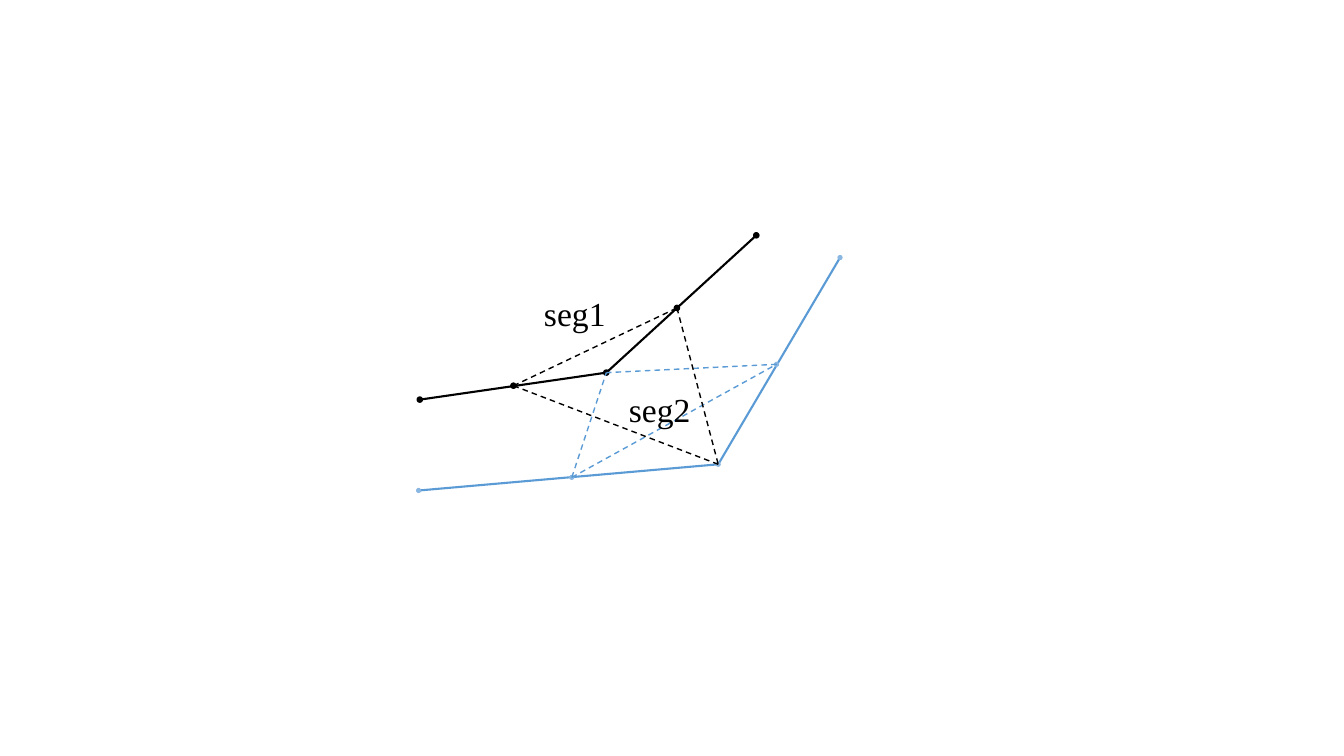
from pptx import Presentation
from pptx.dml.color import RGBColor
from pptx.enum import dml, shapes, text
from pptx.oxml.ns import qn
from pptx.util import Cm, Pt

BLACK, BLUE, LIGHT_BLUE = "000000", "5B9BD5", "89B7E1"
DOT = 0.13

# Points in cm: start, midpoint, corner, midpoint, end
SEG1 = [(10.58, 10.07), (12.94, 9.72), (15.28, 9.39), (17.06, 7.76), (19.06, 5.93)]
SEG2 = [(10.55, 12.36), (14.41, 12.03), (18.1, 11.7), (19.57, 9.18), (21.17, 6.49)]

presentation = Presentation()
presentation.slide_width, presentation.slide_height = Cm(33.87), Cm(19.05)
slide = presentation.slides.add_slide(presentation.slide_layouts[6])


def color(value):
    return RGBColor.from_string(value)


def add_line(start, end, line_color, width, dashed=False):
    connector = slide.shapes.add_connector(
        shapes.MSO_CONNECTOR.STRAIGHT, *(Cm(value) for value in start + end))
    connector.line.color.rgb = color(line_color)
    connector.line.width = Pt(width)
    if dashed:
        connector.line.dash_style = dml.MSO_LINE.DASH
    properties = connector._element.spPr
    properties.append(properties.makeelement(qn("a:effectLst"), {}))


# Solid segments, each bent at its corner
for points, line_color in ((SEG2, BLUE), (SEG1, BLACK)):
    start, _, corner, _, end = points
    add_line(start, corner, line_color, 1.5)
    add_line(corner, end, line_color, 1.5)

# Dots on the ends, midpoints and corners
for points, dot_color in ((SEG1, BLACK), (SEG2, LIGHT_BLUE)):
    for x, y in points:
        dot = slide.shapes.add_shape(
            shapes.MSO_SHAPE.OVAL, Cm(x - DOT / 2), Cm(y - DOT / 2), Cm(DOT), Cm(DOT))
        dot.shadow.inherit = False
        dot.fill.solid()
        dot.fill.fore_color.rgb = color(dot_color)
        if dot_color == BLACK:
            dot.line.color.rgb = color(BLACK)
            dot.line.width = Pt(1)
        else:
            dot.line.fill.background()

# Dashed triangles: midpoints of one segment and the corner of the other
for points, other, line_color in ((SEG2, SEG1, BLUE), (SEG1, SEG2, BLACK)):
    left, right, apex = points[1], points[3], other[2]
    for start, end in ((left, right), (left, apex), (right, apex)):
        add_line(start, end, line_color, 1, dashed=True)

# Labels
for label, left, top in (("seg2", 15.6, 9.68), ("seg1", 13.46, 7.26)):
    box = slide.shapes.add_textbox(Cm(left), Cm(top), Cm(2.18), Cm(1.27))
    box.text_frame.word_wrap = False
    box.text_frame.auto_size = text.MSO_AUTO_SIZE.SHAPE_TO_FIT_TEXT
    paragraph = box.text_frame.paragraphs[0]
    paragraph.text = label
    paragraph.font.name = "Times New Roman"
    paragraph.font.size = Pt(24)
    paragraph.font.color.rgb = color(BLACK)

presentation.save("out.pptx")
